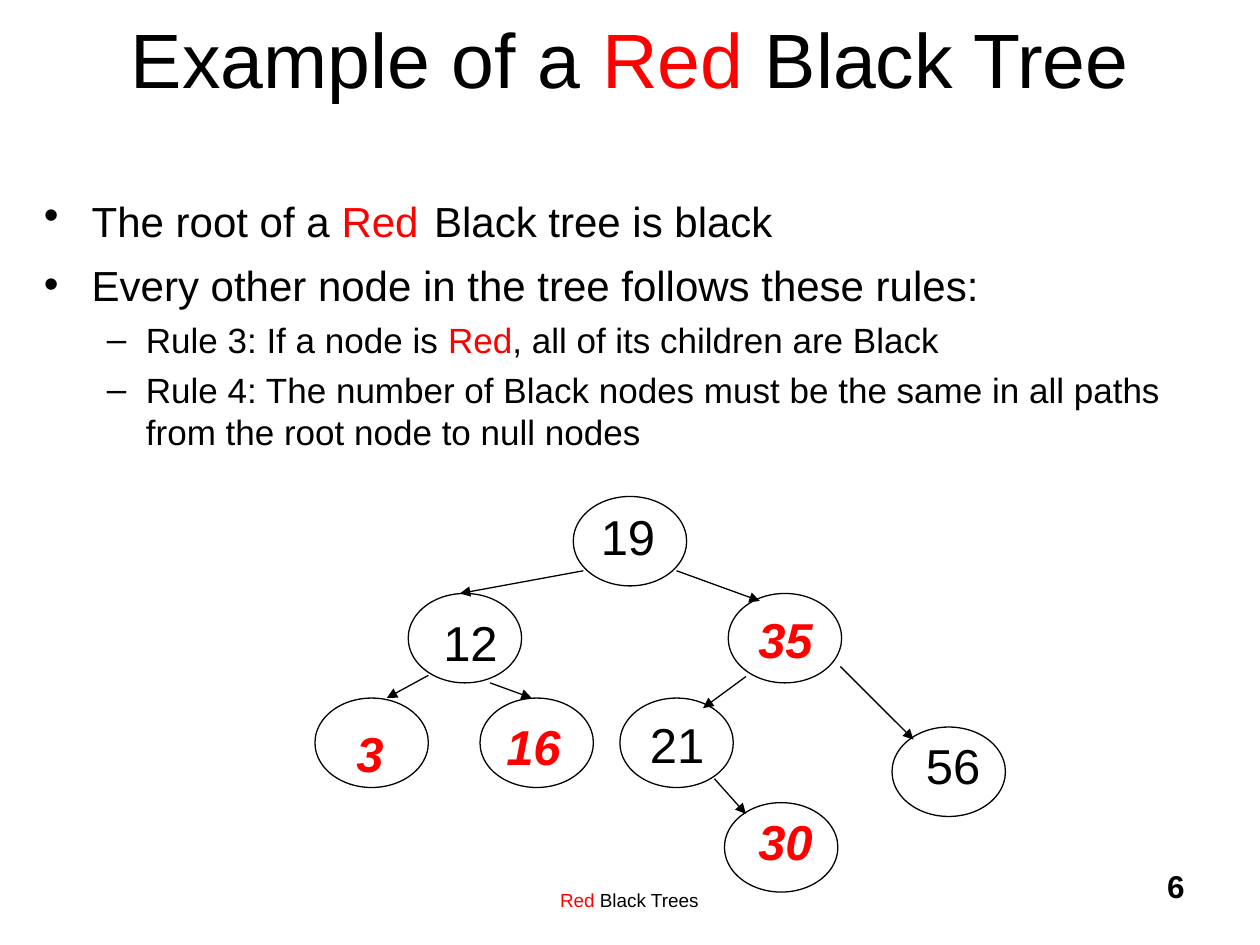
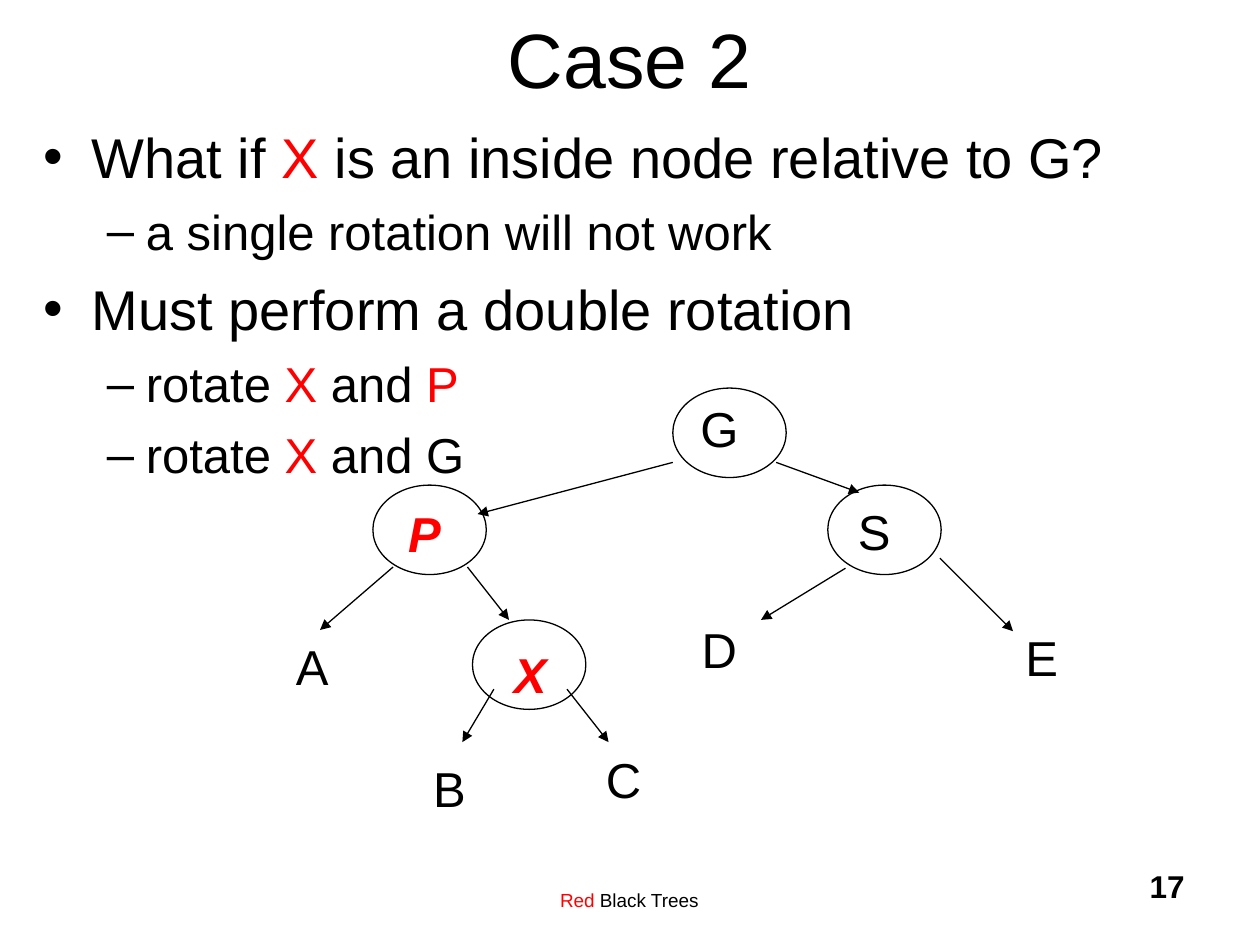
from typing import NamedTuple

from lxml import etree
from pptx import Presentation
from pptx import util as u
from pptx.dml import color as hue
from pptx.enum import shapes as kind, text as txt
from pptx.oxml import ns

FONT = "Arial"
BLACK = "000000"
RED = "FF0000"
OVAL = (0.9, 0.71)
GLYPHS = {"G": 0.3, "C": 0.28, "D": 0.28}


class Span(NamedTuple):
    text: str
    red: bool = False
    size: float | None = None


class Point(NamedTuple):
    spans: list[Span]
    level: int = 0


class Node(NamedTuple):
    label: str
    x: float
    y: float
    dx: float = 0.14
    dy: float = 0.08
    red: bool = False


class Mark(NamedTuple):
    label: str
    x: float
    y: float


class Edge(NamedTuple):
    x1: float
    y1: float
    x2: float
    y2: float


class Style(NamedTuple):
    size: float
    gap: float
    left: float
    hang: float
    sign: str


class Page(NamedTuple):
    title: list[Span]
    number: str
    top: float
    styles: list[Style]
    points: list[Point]
    nodes: list[Node]
    marks: list[Mark]
    edges: list[Edge]


def shade(code: str) -> hue.RGBColor:
    return hue.RGBColor.from_string(code)


def write(para, spans: list[Span], size: float, bold: bool = False, slant: bool = False) -> None:
    for span in spans:
        run = para.add_run()
        run.text = span.text
        font = run.font
        font.name = FONT
        font.size = u.Pt(span.size or size)
        font.bold = bold
        font.italic = slant
        font.color.rgb = shade(RED if span.red else BLACK)


def frame(slide, x: float, y: float, w: float, h: float, wrap: bool = True):
    box = slide.shapes.add_textbox(*map(u.Inches, (x, y, w, h)))
    box.text_frame.word_wrap = wrap
    return box.text_frame


def label(slide, word: str, x: float, y: float, red: bool = False) -> None:
    width = 0.2 + sum(0.215 if c.isdigit() else GLYPHS.get(c, 0.26) for c in word)
    body = frame(slide, x, y, width, 0.57, False)
    body.auto_size = txt.MSO_AUTO_SIZE.SHAPE_TO_FIT_TEXT
    para = body.paragraphs[0]
    para.space_before = u.Pt(7)
    write(para, [Span(word, red)], 28, red, red)


def node(slide, item: Node) -> None:
    oval = slide.shapes.add_shape(
        kind.MSO_SHAPE.OVAL, *map(u.Inches, (item.x, item.y, *OVAL)))
    oval.shadow.inherit = False
    oval.fill.background()
    oval.line.color.rgb = shade(BLACK)
    oval.line.width = u.Pt(0.75)
    label(slide, item.label, item.x + item.dx, item.y + item.dy, item.red)


def arrow(slide, edge: Edge) -> None:
    line = slide.shapes.add_connector(
        kind.MSO_CONNECTOR.STRAIGHT, *map(u.Inches, edge))
    line.line.color.rgb = shade(BLACK)
    line.line.width = u.Pt(0.75)
    props = line._element.spPr
    tail = etree.SubElement(props.find(ns.qn("a:ln")), ns.qn("a:tailEnd"))
    tail.set("type", "triangle")
    etree.SubElement(props, ns.qn("a:effectLst"))


def bullet(para, style: Style) -> None:
    props = para._p.get_or_add_pPr()
    props.set("marL", str(u.Inches(style.left)))
    props.set("indent", str(-u.Inches(style.hang)))
    tint = etree.SubElement(props, ns.qn("a:buClr"))
    etree.SubElement(tint, ns.qn("a:srgbClr")).set("val", BLACK)
    etree.SubElement(props, ns.qn("a:buFont")).set("typeface", FONT)
    etree.SubElement(props, ns.qn("a:buChar")).set("char", style.sign)


def outline(slide, page: Page) -> None:
    body = frame(slide, 0.25, page.top, 9.5, 6.92 - page.top)
    for i, point in enumerate(page.points):
        para = body.add_paragraph() if i else body.paragraphs[0]
        style = page.styles[point.level]
        para.level = point.level
        para.space_before = u.Pt(style.gap)
        bullet(para, style)
        write(para, point.spans, style.size)


def shell(slide, page: Page) -> None:
    foot = frame(slide, 3.08, 7, 3.83, 0.33).paragraphs[0]
    foot.alignment = txt.PP_ALIGN.CENTER
    write(foot, [Span("Red", True), Span(" Black Trees")], 10.8)
    count = frame(slide, 7.42, 6.83, 2.08, 0.5).paragraphs[0]
    count.alignment = txt.PP_ALIGN.RIGHT
    write(count, [Span(page.number)], 18, True)
    head = frame(slide, 0.75, -0.17, 8.5, 1.25)
    head.vertical_anchor = txt.MSO_ANCHOR.MIDDLE
    head.paragraphs[0].alignment = txt.PP_ALIGN.CENTER
    write(head.paragraphs[0], page.title, 44)


def styles(main: float, sub: float, gap: float) -> list[Style]:
    return [Style(main, gap, 0.38, 0.38, "•"),
            Style(sub, gap - 1, 0.81, 0.31, "–")]


TREE = Page(
    [Span("Example of a "), Span("Red", True), Span(" Black Tree")],
    "6", 1.39, styles(24, 20, 6),
    [
        Point([Span("The root of a "), Span("Red", True), Span(" ", size=32),
               Span("Black tree is black")]),
        Point([Span("Every other node in the tree follows these rules:")]),
        Point([Span("Rule 3: If a node is "), Span("Red", True),
               Span(", all of its children are Black")], 1),
        Point([Span("Rule 4: The number of Black nodes must be the same in all "
                    "paths from the root node to null nodes")], 1),
    ],
    [
        Node("19", 4.55, 3.94, 0.12, 0.03),
        Node("12", 3.24, 4.71, 0.18, 0.1),
        Node("35", 5.78, 4.71, red=True),
        Node("3", 2.5, 5.54, 0.23, 0.15, True),
        Node("16", 3.81, 5.54, 0.11, 0.1, True),
        Node("56", 7.08, 5.77, 0.17, 0.02),
        Node("21", 4.92, 5.54),
        Node("30", 5.75, 6.37, 0.17, 0.02, True),
    ],
    [],
    [
        Edge(4.63, 4.53, 3.65, 4.71),
        Edge(5.37, 4.53, 6.03, 4.77),
        Edge(3.4, 5.36, 3.07, 5.54),
        Edge(3.89, 5.42, 4.22, 5.54),
        Edge(6.67, 5.29, 7.25, 5.87),
        Edge(5.92, 5.37, 5.58, 5.62),
        Edge(5.67, 6.18, 5.92, 6.46),
    ],
)

CASE = Page(
    [Span("Case 2")],
    "17", 0.92, styles(32, 28, 8),
    [
        Point([Span("What if "), Span("X", True),
               Span(" is an inside node relative to G?")]),
        Point([Span("a single rotation will not work")], 1),
        Point([Span("Must perform a double rotation")]),
        Point([Span("rotate "), Span("X", True), Span(" and "), Span("P", True)], 1),
        Point([Span("rotate "), Span("X", True), Span(" and G")], 1),
    ],
    [
        Node("G", 5.34, 3.08, 0.12, 0.03),
        Node("P", 2.96, 3.85, 0.18, 0.1, True),
        Node("S", 6.57, 3.85),
        Node("X", 3.75, 4.92, 0.23, 0.15, True),
    ],
    [
        Mark("A", 2.25, 5),
        Mark("B", 3.34, 5.97),
        Mark("C", 4.71, 5.9),
        Mark("D", 5.47, 4.87),
        Mark("E", 8.04, 4.93),
    ],
    [
        Edge(5.34, 3.67, 3.79, 4.08),
        Edge(6.16, 3.67, 6.82, 3.91),
        Edge(7.46, 4.43, 8.04, 5.01),
        Edge(6.71, 4.51, 6.04, 4.92),
        Edge(3.12, 4.5, 2.54, 5),
        Edge(3.71, 4.5, 4.04, 4.92),
        Edge(3.92, 5.47, 3.67, 5.89),
        Edge(4.5, 5.47, 4.83, 5.89),
    ],
)


def main() -> None:
    deck = Presentation()
    deck.slide_width = u.Inches(10)
    deck.slide_height = u.Inches(7.5)
    for page in (TREE, CASE):
        slide = deck.slides.add_slide(deck.slide_layouts[6])
        shell(slide, page)
        outline(slide, page)
        for item in page.nodes:
            node(slide, item)
        for mark in page.marks:
            label(slide, *mark)
        for edge in page.edges:
            arrow(slide, edge)
    deck.save("out.pptx")


if __name__ == "__main__":
    main()
